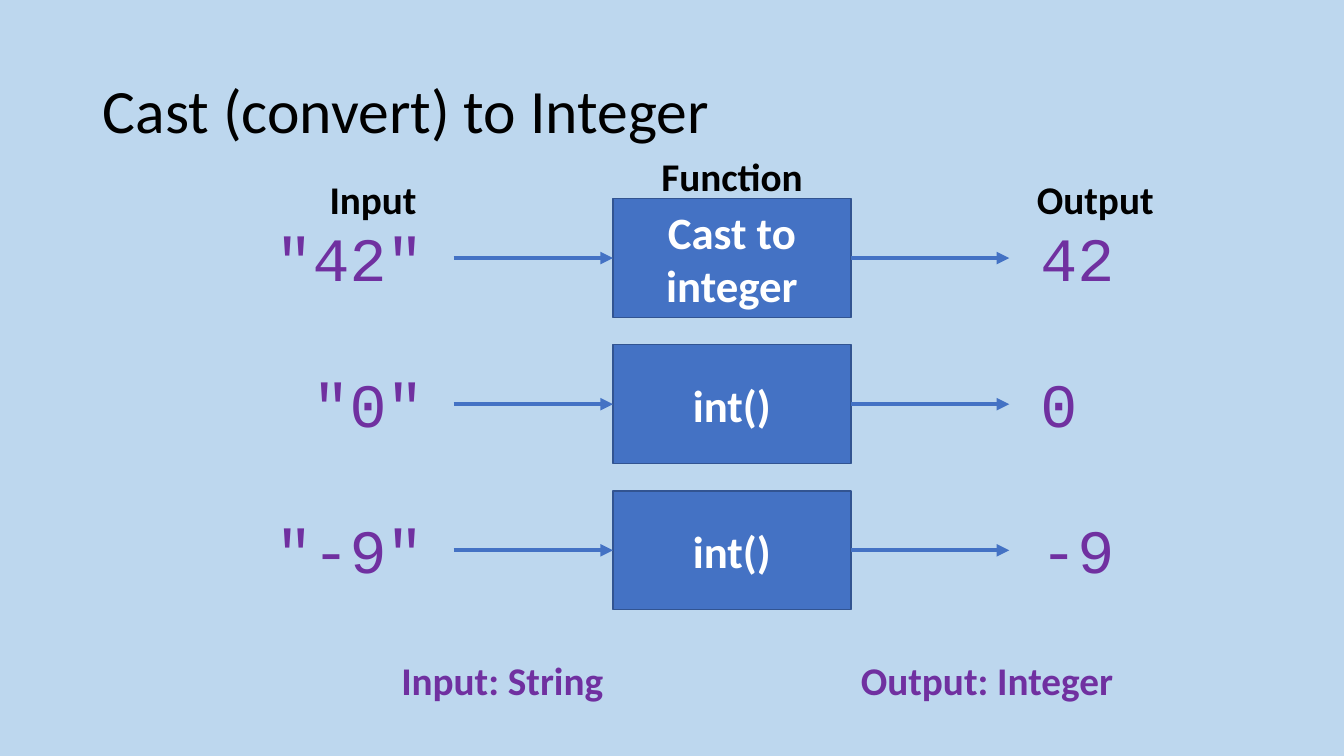
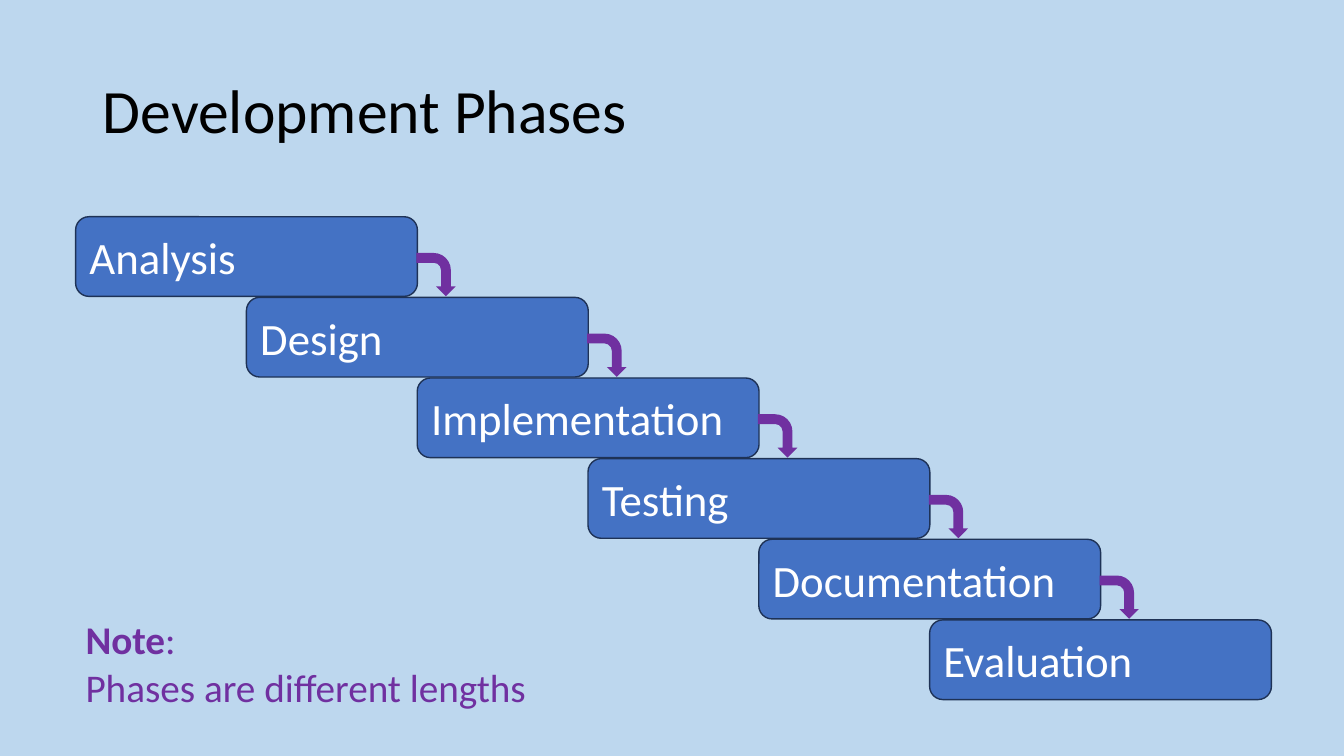
"""Build two slides: casting strings to integers and the development phases."""
import lxml.etree
import pptx
import pptx.dml.color
import pptx.enum.shapes
import pptx.enum.text
import pptx.oxml.ns
import pptx.util

Inches = pptx.util.Inches
Pt = pptx.util.Pt
RGBColor = pptx.dml.color.RGBColor
ALIGN = pptx.enum.text.PP_ALIGN
ANCHOR = pptx.enum.text.MSO_ANCHOR
SHAPE = pptx.enum.shapes.MSO_SHAPE
qn = pptx.oxml.ns.qn

SKY = RGBColor(0xBD, 0xD7, 0xEE)
BLUE = RGBColor(0x44, 0x72, 0xC4)
BOX_EDGE = RGBColor(0x32, 0x54, 0x91)
PHASE_EDGE = RGBColor(0x1E, 0x32, 0x56)
PURPLE = RGBColor(0x70, 0x30, 0xA0)
BLACK = RGBColor(0, 0, 0)
WHITE = RGBColor(0xFF, 0xFF, 0xFF)
SANS, MONO = "Calibri", "Courier New"

CAST_TITLE = "Cast (convert) to Integer"
CASTS = [
    ('"42"', "Cast to integer", "42"),
    ('"0"', "int()", "0"),
    ('"-9"', "int()", "-9"),
]
HEADINGS = [
    ("Input", 3.17, 1.69, 1.07, ALIGN.LEFT),
    ("Function", 6.45, 1.46, 1.62, ALIGN.CENTER),
    ("Output", 10.17, 1.69, 1.37, ALIGN.RIGHT),
]
TYPE_NOTES = [
    ("Input: String", 2.99, 6.46, 3.09, ALIGN.RIGHT),
    ("Output: Integer", 8.44, 6.46, 2.78, ALIGN.LEFT),
]

PHASES_TITLE = "Development Phases"
PHASES = ["Analysis", "Design", "Implementation", "Testing", "Documentation", "Evaluation"]
PHASE_NOTE = [[("Note", True), (":", False)], [("Phases are different lengths", False)]]

CAST_TOP, CAST_PITCH = 1.97, 1.45
CAST_LEFT, CAST_WIDTH, CAST_HEIGHT = 6.08, 2.36, 1.18
ARROW_START, ARROW_END = 4.5, 10.01
INPUT_LEFT, INPUT_WIDTH = 1.66, 2.64
OUTPUT_LEFT, OUTPUT_WIDTH = 10.22, 2.9
VALUE_DROP, VALUE_HEIGHT = 0.16, 0.84
LABEL_HEIGHT = 0.57

PHASE_LEFT, PHASE_LAST_LEFT, PHASE_WIDTH = 0.75, 9.22, 3.39
PHASE_TOP, PHASE_PITCH, PHASE_HEIGHT = 2.15, 0.8, 0.79
BEND_SHIFT, BEND_DROP, BEND_WIDTH, BEND_HEIGHT = 3.36, 0.38, 0.43, 0.39


def write(frame, paragraphs, size, color, align=ALIGN.LEFT, font=SANS):
    """Fill a text frame with paragraphs of (text, bold) runs."""
    for index, runs in enumerate(paragraphs):
        paragraph = frame.add_paragraph() if index else frame.paragraphs[0]
        paragraph.alignment = align
        for text, bold in runs:
            run = paragraph.add_run()
            run.text = text
            run.font.name, run.font.size, run.font.bold = font, Pt(size), bold
            run.font.color.rgb = color


def add_text(slide, box, paragraphs, size, color, align=ALIGN.LEFT, font=SANS, wrap=True):
    """Add a text box that fits its text."""
    frame = slide.shapes.add_textbox(*map(Inches, box)).text_frame
    frame.word_wrap = wrap
    frame.auto_size = pptx.enum.text.MSO_AUTO_SIZE.SHAPE_TO_FIT_TEXT
    write(frame, paragraphs, size, color, align, font)


def add_block(slide, preset, box, fill, edge=None):
    """Add a flat filled shape, outlined when an edge colour is given."""
    block = slide.shapes.add_shape(preset, *map(Inches, box))
    block.shadow.inherit = False
    block.fill.solid()
    block.fill.fore_color.rgb = fill
    if edge is None:
        block.line.fill.background()
    else:
        block.line.color.rgb = edge
        block.line.width = Pt(1)
    block.text_frame.vertical_anchor = ANCHOR.MIDDLE
    return block


def add_arrow(slide, start, end, y):
    """Add a level arrow from start to end."""
    arrow = slide.shapes.add_connector(
        pptx.enum.shapes.MSO_CONNECTOR.STRAIGHT, Inches(start), Inches(y), Inches(end), Inches(y)
    )
    arrow.line.color.rgb = BLUE
    arrow.line.width = Pt(3)
    properties = arrow.element.spPr
    lxml.etree.SubElement(properties.find(qn("a:ln")), qn("a:tailEnd"), type="triangle")
    lxml.etree.SubElement(properties, qn("a:effectLst"))
    return arrow


def add_titled_slide(deck, layout, title):
    """Add a slide with the shared title style."""
    slide = deck.slides.add_slide(layout)
    frame = slide.shapes.title.text_frame
    write(frame, [[(title, False)]], 44, BLACK)
    frame.paragraphs[0].line_spacing = 0.9
    return slide


def build_casts(slide):
    """Draw one input, function and output row for each cast."""
    for row, (given, function, result) in enumerate(CASTS):
        top = CAST_TOP + row * CAST_PITCH
        middle = top + CAST_HEIGHT / 2
        cast = add_block(
            slide, SHAPE.RECTANGLE, (CAST_LEFT, top, CAST_WIDTH, CAST_HEIGHT), BLUE, BOX_EDGE
        )
        write(cast.text_frame, [[(function, True)]], 32, WHITE, ALIGN.CENTER)
        add_arrow(slide, ARROW_START, CAST_LEFT, middle).end_connect(cast, 1)
        add_arrow(slide, CAST_LEFT + CAST_WIDTH, ARROW_END, middle).begin_connect(cast, 3)
        for value, left, width, align in (
            (given, INPUT_LEFT, INPUT_WIDTH, ALIGN.RIGHT),
            (result, OUTPUT_LEFT, OUTPUT_WIDTH, ALIGN.LEFT),
        ):
            box = (left, top + VALUE_DROP, width, VALUE_HEIGHT)
            add_text(slide, box, [[(value, False)]], 44, PURPLE, align, MONO)
    for labels, color, wrap in ((HEADINGS, BLACK, False), (TYPE_NOTES, PURPLE, True)):
        for text, left, top, width, align in labels:
            box = (left, top, width, LABEL_HEIGHT)
            add_text(slide, box, [[(text, True)]], 28, color, align, wrap=wrap)


def build_phases(slide):
    """Draw the phases as descending steps joined by bent arrows."""
    last = len(PHASES) - 1
    step = (PHASE_LAST_LEFT - PHASE_LEFT) / last
    corners = [(PHASE_LEFT + i * step, PHASE_TOP + i * PHASE_PITCH) for i in range(last + 1)]
    for name, corner in zip(PHASES, corners):
        phase = add_block(
            slide, SHAPE.ROUNDED_RECTANGLE, (*corner, PHASE_WIDTH, PHASE_HEIGHT), BLUE, PHASE_EDGE
        )
        write(phase.text_frame, [[(name, False)]], 32, WHITE)
    for left, top in corners[:last]:
        box = (left + BEND_SHIFT, top + BEND_DROP, BEND_WIDTH, BEND_HEIGHT)
        add_block(slide, SHAPE.BENT_ARROW, box, PURPLE).rotation = 90
    add_text(slide, (0.75, 6.06, 4.62, 1.04), PHASE_NOTE, 28, PURPLE, wrap=False)


def main():
    """Set up the shared look, build both slides and save."""
    deck = pptx.Presentation()
    deck.slide_width, deck.slide_height = Inches(13.33), Inches(7.5)
    background = deck.slide_master.background.fill
    background.solid()
    background.fore_color.rgb = SKY
    layout = deck.slide_layouts.get_by_name("Title Only")
    heading = layout.placeholders[0]
    heading.left, heading.top = Inches(0.92), Inches(0.4)
    heading.width, heading.height = Inches(11.5), Inches(1.45)
    heading.text_frame.vertical_anchor = ANCHOR.MIDDLE
    build_casts(add_titled_slide(deck, layout, CAST_TITLE))
    build_phases(add_titled_slide(deck, layout, PHASES_TITLE))
    deck.save("out.pptx")


if __name__ == "__main__":
    main()
